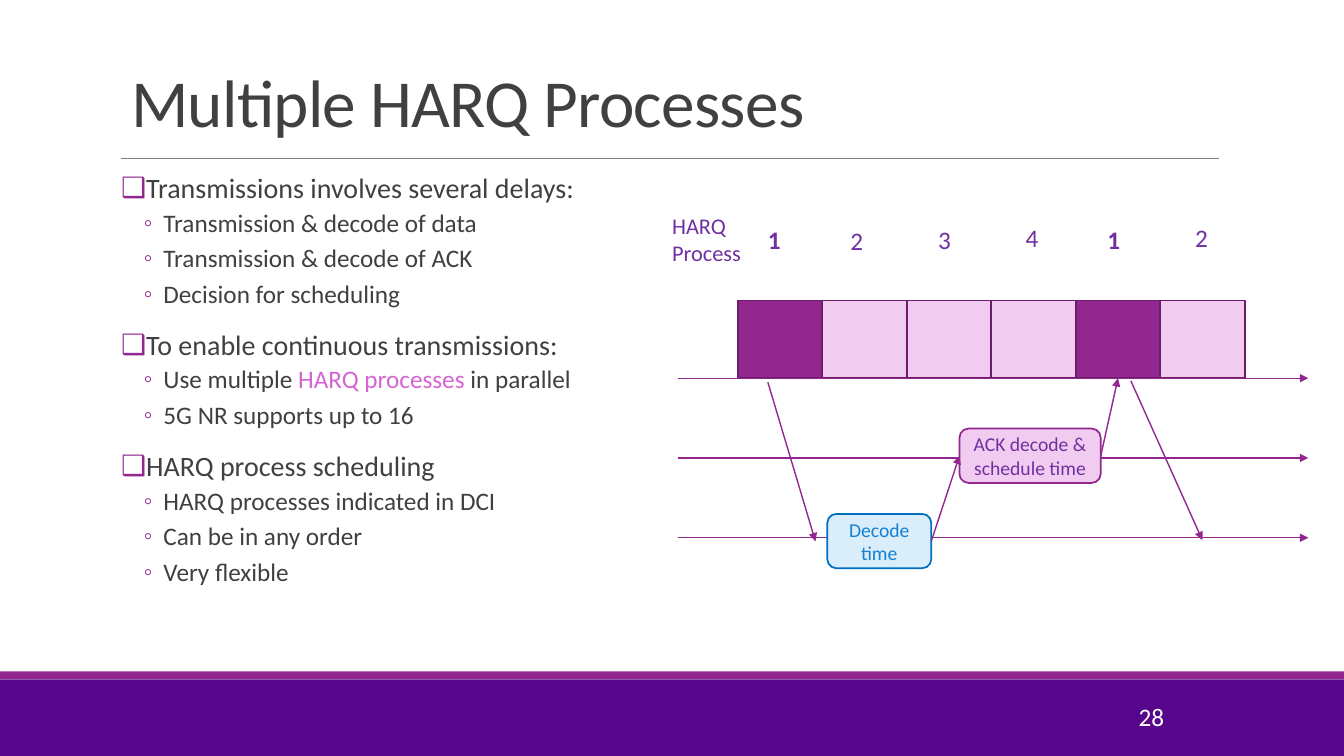
from lxml import etree
from pptx import Presentation
from pptx import util as u
from pptx.dml import color
from pptx.enum import shapes, text
from pptx.oxml import ns

DARK, PLUM, EDGE, PINK, GREY = "57068C", "92278F", "6C1D6A", "F1CCF0", "404040"
INK, WHITE, ROSE = "7030A0", "FFFFFF", "D665D3"
TITLE = "Multiple HARQ Processes"
PAGE = "28"

# heading, then its points; a point is a list of (text, colour) runs
LISTS = [
    ("Transmissions involves several delays:", [
        [("Transmission & decode of data", GREY)],
        [("Transmission & decode of ACK", GREY)],
        [("Decision for scheduling", GREY)]]),
    ("To enable continuous transmissions:", [
        [("Use multiple ", GREY), ("HARQ processes ", ROSE), ("in parallel", GREY)],
        [("5G NR supports up to 16", GREY)]]),
    ("HARQ process scheduling", [
        [("HARQ processes indicated in DCI", GREY)],
        [("Can be in any order", GREY)],
        [("Very flexible", GREY)]]),
]
HEAD = dict(mark="❑", left=0.25, hang=0.25, size=20, before=12, after=2)
POINT = dict(mark="◦", left=1.07, hang=0.5, size=18, before=2, after=4)

# process number, left and top of its label (cm)
SLOTS = [("1", 19.1, 5.54), ("2", 21.18, 5.56), ("3", 23.39, 5.54),
         ("4", 25.6, 5.49), ("1", 27.66, 5.54), ("2", 29.87, 5.49)]
CELL = dict(left=18.59, top=7.57, wide=2.13, high=1.96)
AXIS = dict(left=17.08, right=32.97, top=9.53, step=2.01)
SENDS = [((19.35, 9.63), (20.55, 13.64)), ((28.5, 9.6), (30.3, 13.61))]
DECODE = ("Decode time", (20.85, 12.95, 2.62, 1.37), "DAEDFB", "0070C0", "1480D1")
ACK = ("ACK decode & schedule time", (24.18, 10.8, 3.56, 1.37), PINK, PLUM, INK)


def rgb(code):
    return color.RGBColor.from_string(code)


def cm(nums):
    return [u.Cm(n) for n in nums]


def style(item, **vals):
    for name, val in vals.items():
        setattr(item, name, val)


def write(para, words, size, tint, bold=False):
    """Fill a paragraph, or add to it, with text of one look."""
    old = len(para.runs)
    if old:
        para.add_run().text = words
    else:
        para.text = words
    for run in para.runs[old:]:
        style(run.font, name="Calibri", size=u.Pt(size), bold=bold)
        run.font.color.rgb = rgb(tint)


def block(kind, box, fill, edge=None):
    shp = slide.shapes.add_shape(kind, *cm(box))
    shp.shadow.inherit = False
    shp.fill.solid()
    shp.fill.fore_color.rgb = rgb(fill)
    if edge:
        shp.line.color.rgb = rgb(edge)
        shp.line.width = u.Pt(1.25)
    else:
        shp.line.fill.background()
    return shp


def timer(words, box, fill, edge, tint):
    """Rounded box that names a delay."""
    shp = block(shapes.MSO_SHAPE.ROUNDED_RECTANGLE, box, fill, edge)
    style(shp.text_frame, word_wrap=True, vertical_anchor=text.MSO_ANCHOR.MIDDLE)
    para = shp.text_frame.paragraphs[0]
    para.alignment = text.PP_ALIGN.CENTER
    write(para, words, 14, tint)
    return shp


def line(start=(0, 0), end=(0, 0), tint=PLUM, width=1, arrow=True):
    con = slide.shapes.add_connector(shapes.MSO_CONNECTOR.STRAIGHT, *cm(start + end))
    con.line.color.rgb = rgb(tint)
    con.line.width = u.Pt(width)
    props = con._element.spPr
    if arrow:
        etree.SubElement(props.find(ns.qn("a:ln")), ns.qn("a:tailEnd"), type="triangle")
    etree.SubElement(props, ns.qn("a:effectLst"))
    return con


def join(first, side, last, face):
    con = line()
    con.begin_connect(first, side)
    con.end_connect(last, face)


def label(words, box, size, bold=False):
    frame = slide.shapes.add_textbox(*cm(box)).text_frame
    style(frame, word_wrap=False, auto_size=text.MSO_AUTO_SIZE.SHAPE_TO_FIT_TEXT)
    write(frame.paragraphs[0], words, size, INK, bold)


def place(shp, box):
    style(shp, **dict(zip(("left", "top", "width", "height"), cm(box))))
    shp.text_frame.auto_size = text.MSO_AUTO_SIZE.NONE
    return shp.text_frame


def entry(para, level, runs, form):
    """One bulleted line of the body list."""
    style(para, level=level, line_spacing=0.9, alignment=text.PP_ALIGN.LEFT,
          space_before=u.Pt(form["before"]), space_after=u.Pt(form["after"]))
    props = para._p.get_or_add_pPr()
    props.set("marL", str(u.Cm(form["left"])))
    props.set("indent", str(-u.Cm(form["hang"])))
    tint = etree.SubElement(props, ns.qn("a:buClr"))
    etree.SubElement(tint, ns.qn("a:srgbClr"), val=PLUM)
    etree.SubElement(props, ns.qn("a:buChar"), char=form["mark"])
    for words, shade in runs:
        write(para, words, form["size"], shade)


deck = Presentation()
style(deck, slide_width=u.Cm(33.87), slide_height=u.Cm(19.05))
slide = deck.slides.add_slide(deck.slide_layouts[1])
RECT = shapes.MSO_SHAPE.RECTANGLE

# title, rule and footer
frame = place(slide.shapes.title, (3.05, 0.79, 27.94, 2.9))
frame.vertical_anchor = text.MSO_ANCHOR.BOTTOM
para = frame.paragraphs[0]
style(para, alignment=text.PP_ALIGN.LEFT, line_spacing=0.85)
write(para, TITLE, 48, GREY)
para.runs[0].font._element.set("spc", "-50")
line((3.05, 3.99), (30.73, 3.99), "808080", 0.5, False)
block(RECT, (0, 17.12, 33.87, 1.93), DARK)
block(RECT, (0, 16.92, 33.87, 0.19), PLUM)
frame = slide.shapes.add_textbox(*cm((25.96, 17.55, 3.63, 1.02))).text_frame
style(frame, word_wrap=True, vertical_anchor=text.MSO_ANCHOR.MIDDLE)
frame.paragraphs[0].alignment = text.PP_ALIGN.RIGHT
write(frame.paragraphs[0], PAGE, 18, WHITE)

# list
frame = place(slide.placeholders[1], (3.05, 4.27, 27.94, 12.04))
style(frame, margin_left=0, margin_right=0, vertical_anchor=text.MSO_ANCHOR.TOP)
rows = []
for head, points in LISTS:
    rows.append((0, [(head, GREY)], HEAD))
    rows += [(1, runs, POINT) for runs in points]
for num, row in enumerate(rows):
    entry(frame.add_paragraph() if num else frame.paragraphs[0], *row)

# slots with their process numbers
label("HARQ\nProcess", (16.69, 5.23, 2.26, 1.63), 16)
cells = []
for num, (name, left, top) in enumerate(SLOTS):
    own = name == "1"
    box = (CELL["left"] + num * CELL["wide"], CELL["top"], CELL["wide"], CELL["high"])
    cells.append(block(RECT, box, PLUM if own else PINK, EDGE))
    label(name, (left, top, 0.84, 1.02), 18, own)

# time axes, delays and messages
for num in range(3):
    y = AXIS["top"] + num * AXIS["step"]
    line((AXIS["left"], y), (AXIS["right"], y))
for start, end in SENDS:
    line(start, end)
decode, ack = timer(*DECODE), timer(*ACK)
join(decode, 3, ack, 1)
join(ack, 3, cells[4], 2)

deck.save("out.pptx")
